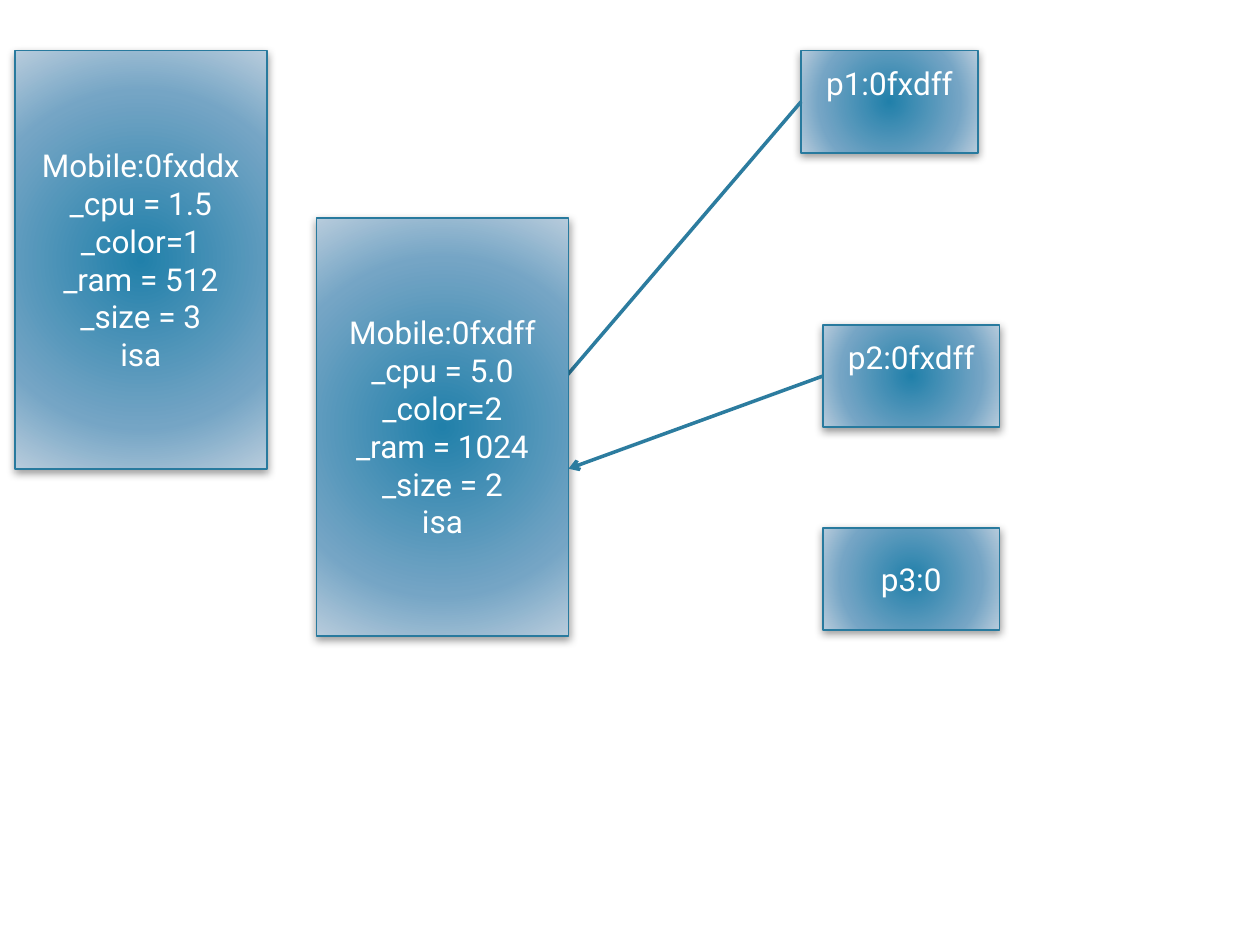
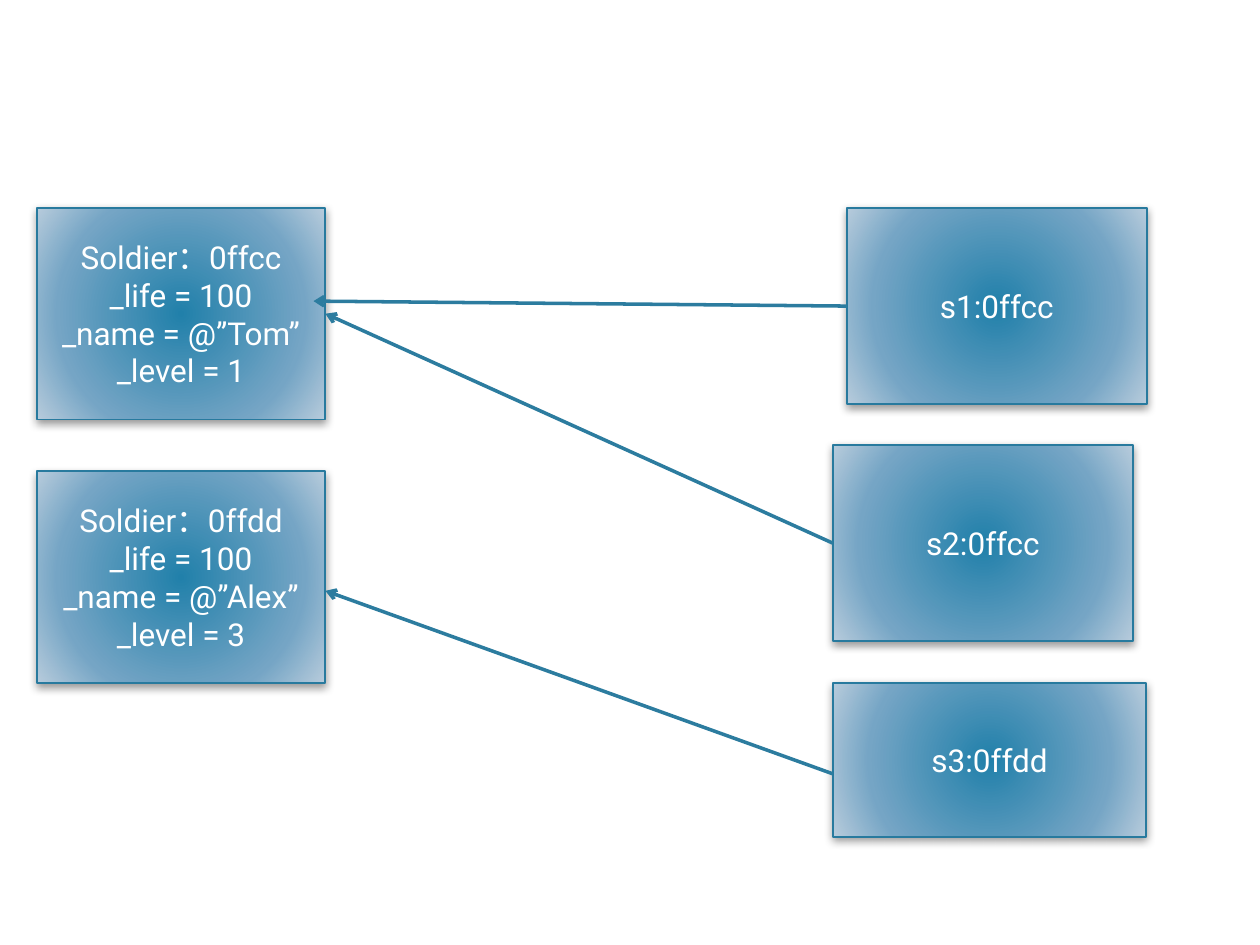
from dataclasses import dataclass
from typing import Optional, Union

from lxml.etree import SubElement
from pptx import Presentation
from pptx.dml.color import RGBColor as Rgb
from pptx.enum.shapes import MSO_CONNECTOR as Link, MSO_SHAPE as Preset
from pptx.enum.text import MSO_ANCHOR as Anchor, PP_ALIGN as Align
from pptx.oxml import parse_xml
from pptx.oxml.ns import nsdecls, qn
from pptx.util import Cm, Pt

COLORS = {
    "core": "2180AA", "middle": "75A5C5", "rim": "B8CCDC",
    "border": "287A9E", "arrow": "2C7C9F", "text": "FFFFFF", "shadow": "000000",
}
GRADIENT = ((0, "core"), (69, "middle"), (100, "rim"))
FONT = "Roboto"
LEFT, RIGHT = 1, 3  # connection sites of a rectangle
LINE_HEIGHT = 0.76  # one line of body text, in cm

Point = tuple[float, float]
Size = tuple[float, float]


@dataclass(frozen=True)
class MemoryBox:
    key: str
    lines: tuple[str, ...]
    corner: Point
    size: Size
    lift: float = 0  # extra bottom inset that raises the text


@dataclass(frozen=True)
class Reference:
    """Arrow from a pointer box to a point or to the right side of another box."""
    source: str
    target: Union[str, Point]
    start: Optional[Point] = None  # default: middle of the source's left side


PHONE: Size = (5.08, 8.43)
PHONE_POINTER: Size = (3.56, 2.06)
SOLDIER: Size = (5.82, 4.27)
SOLDIER_POINTER: Size = (6.05, 3.96)
PHONE_TOP, PHONE_POINTER_X = 1.02, 16.59
SOLDIER_X, SOLDIER_TOP, SOLDIER_POINTER_X = 0.74, 4.19, 16.79


def phone(address: str, cpu: str, color: int, ram: int, size: int, corner: Point) -> MemoryBox:
    lines = (f"Mobile:{address}", f"_cpu = {cpu}", f"_color={color}",
             f"_ram = {ram}", f"_size = {size}", "isa")
    return MemoryBox(address, lines, corner, PHONE)


def soldier(address: str, name: str, level: int, top: float) -> MemoryBox:
    lines = (f"Soldier：{address}", "_life = 100", f"_name = @”{name}”", f"_level = {level}")
    return MemoryBox(address, lines, (SOLDIER_X, top), SOLDIER)


def pointer(key: str, address: str, corner: Point, size: Size, lift: float = 0) -> MemoryBox:
    return MemoryBox(key, (f"{key}:{address}",), corner, size, lift)


PHONE_SLIDE = (
    phone("0fxddx", "1.5", 1, 512, 3, (0.3, PHONE_TOP)),
    pointer("p1", "0fxdff", (16.15, PHONE_TOP), PHONE_POINTER, LINE_HEIGHT),
    Reference("p1", (10.54, 8.61)),
    phone("0fxdff", "5.0", 2, 1024, 2, (6.38, 4.39)),
    pointer("p2", "0fxdff", (PHONE_POINTER_X, 6.55), PHONE_POINTER, LINE_HEIGHT),
    Reference("p2", (11.46, 9.45)),
    pointer("p3", "0", (PHONE_POINTER_X, 10.64), PHONE_POINTER),
)
SOLDIER_SLIDE = (
    soldier("0ffcc", "Tom", 1, SOLDIER_TOP),
    pointer("s1", "0ffcc", (17.07, SOLDIER_TOP), SOLDIER_POINTER),
    Reference("s1", (6.32, 6.07)),
    soldier("0ffdd", "Alex", 3, 9.5),
    pointer("s2", "0ffcc", (SOLDIER_POINTER_X, 8.97), SOLDIER_POINTER),
    Reference("s2", "0ffcc"),
    pointer("s3", "0ffdd", (SOLDIER_POINTER_X, 13.77), (6.32, 3.1)),
    Reference("s3", (6.56, 11.91), start=(SOLDIER_POINTER_X, 15.6)),
)


def write_text(frame, lines: tuple[str, ...], *, size: float = 18, color: str = "text",
               align=Align.CENTER, anchor=Anchor.MIDDLE, lift: float = 0) -> None:
    frame.word_wrap = True
    frame.vertical_anchor = anchor
    frame.margin_bottom = Cm(0.13 + lift)
    for index, line in enumerate(lines):
        paragraph = frame.add_paragraph() if index else frame.paragraphs[0]
        paragraph.alignment = align
        run = paragraph.add_run()
        run.text = line
        run.font.name = FONT
        run.font.size = Pt(size)
        run.font.color.rgb = Rgb.from_string(COLORS[color])


def fill_radially(shape) -> None:
    stops = "".join(f'<a:gs pos="{position * 1000}"><a:srgbClr val="{COLORS[color]}"/></a:gs>'
                    for position, color in GRADIENT)
    gradient = parse_xml(
        f'<a:gradFill {nsdecls("a")} rotWithShape="1"><a:gsLst>{stops}</a:gsLst>'
        '<a:path path="circle"><a:fillToRect l="100000" t="100000" r="100000" b="100000"/>'
        '</a:path></a:gradFill>')
    shape._element.spPr.find(qn("a:prstGeom")).addnext(gradient)


def cast_shadow(shape) -> None:
    shape.shadow.inherit = False
    effects = shape._element.spPr.find(qn("a:effectLst"))
    effects.append(parse_xml(
        f'<a:outerShdw {nsdecls("a")} blurRad="{Pt(5)}" dist="{Pt(2)}" dir="5400000" '
        f'rotWithShape="0"><a:srgbClr val="{COLORS["shadow"]}"><a:alpha val="40000"/>'
        '</a:srgbClr></a:outerShdw>'))


def draw_box(slide, box: MemoryBox):
    shape = slide.shapes.add_shape(Preset.RECTANGLE, *map(Cm, box.corner + box.size))
    shape.line.color.rgb = Rgb.from_string(COLORS["border"])
    shape.line.width = Pt(1)
    fill_radially(shape)
    cast_shadow(shape)
    write_text(shape.text_frame, box.lines, lift=box.lift)
    return shape


def draw_reference(slide, reference: Reference, boxes: dict) -> None:
    start = reference.start or (0, 0)
    end = (0, 0) if isinstance(reference.target, str) else reference.target
    arrow = slide.shapes.add_connector(Link.STRAIGHT, *map(Cm, start + end))
    if reference.start is None:
        arrow.begin_connect(boxes[reference.source], LEFT)
    if isinstance(reference.target, str):
        arrow.end_connect(boxes[reference.target], RIGHT)
    arrow.line.color.rgb = Rgb.from_string(COLORS["arrow"])
    arrow.line.width = Pt(2)
    SubElement(arrow.line._get_or_add_ln(), qn("a:tailEnd"), type="arrow")
    SubElement(arrow._element.spPr, qn("a:effectLst"))


def draw_slide(deck, parts: tuple) -> None:
    slide = deck.slides.add_slide(deck.slide_layouts[6])
    boxes = {}
    for part in parts:
        if isinstance(part, MemoryBox):
            boxes[part.key] = draw_box(slide, part)
        else:
            draw_reference(slide, part, boxes)


def main() -> None:
    deck = Presentation()
    deck.slide_width, deck.slide_height = Cm(25.4), Cm(19.05)
    for parts in (PHONE_SLIDE, SOLDIER_SLIDE):
        draw_slide(deck, parts)
    deck.save("out.pptx")


if __name__ == "__main__":
    main()
